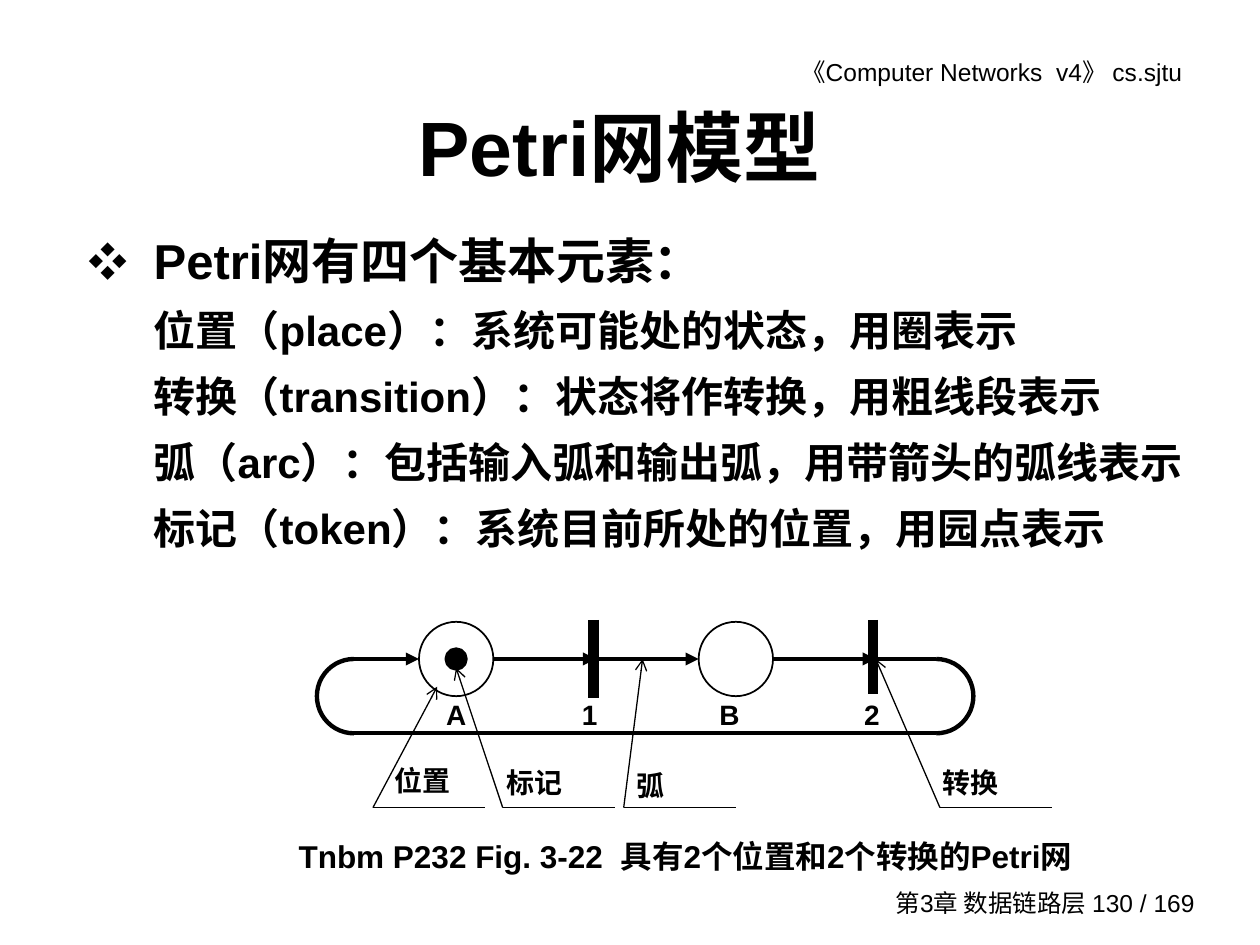
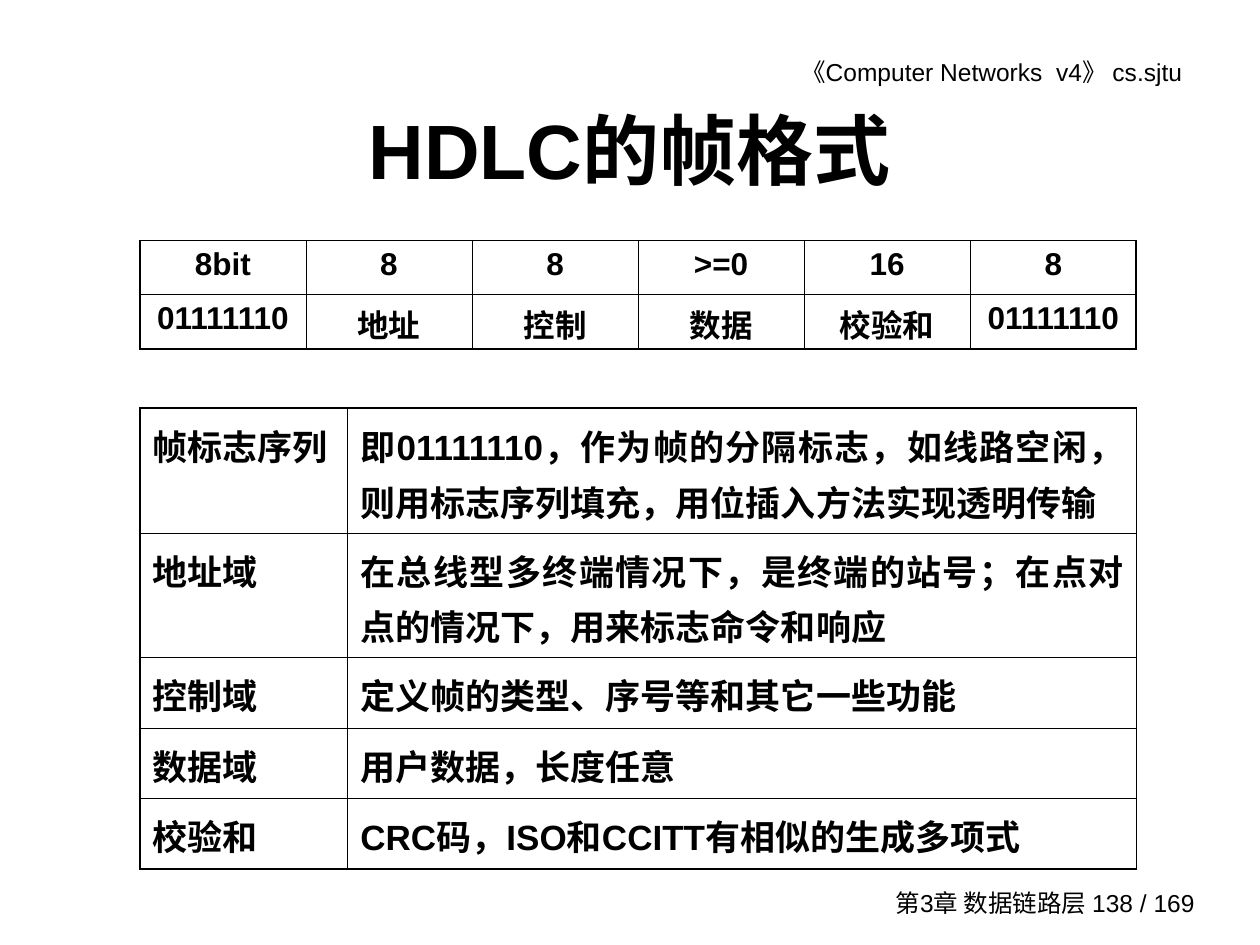
from dataclasses import dataclass
from typing import NamedTuple, Optional

from lxml.etree import SubElement
from pptx import Presentation
from pptx.dml.color import RGBColor
from pptx.enum.dml import MSO_FILL
from pptx.enum.shapes import MSO_CONNECTOR, MSO_SHAPE
from pptx.enum.text import MSO_ANCHOR, MSO_AUTO_SIZE, PP_ALIGN
from pptx.oxml.ns import qn
from pptx.util import Emu, Inches, Pt

SLIDE_WIDTH, SLIDE_HEIGHT = Inches(10), Inches(7.5)
GRID_COLUMNS, GRID_ROWS = 100, 75


@dataclass(frozen=True)
class Theme:
    ink: RGBColor = RGBColor(0, 0, 0)
    latin: str = "Arial"
    east_asian: str = "Noto Sans CJK SC"
    label_latin: str = "Times New Roman"
    title: float = 44
    lead: float = 28
    body: float = 24
    field: float = 20
    caption: float = 18
    label: float = 16
    footer: float = 14
    thin: float = 0.75
    outline: float = 1
    arc: float = 2.5
    bar: float = 6
    inner_border: float = 0.45
    outer_border: float = 1.08
    line_spacing: float = 1.1


THEME = Theme()


class Area(NamedTuple):
    left: float
    top: float
    width: float
    height: float


class Point(NamedTuple):
    x: float
    y: float


class Place(NamedTuple):
    name: str
    center: float


class Bar(NamedTuple):
    name: str
    center: float
    length: float


class Callout(NamedTuple):
    text: str
    foot: float
    tip: Point
    label: Point


class TextStyle(NamedTuple):
    size: float
    bold: bool = True
    align: PP_ALIGN = PP_ALIGN.LEFT
    latin: str = THEME.latin
    spacing: Optional[float] = None


HEADER_AREA = Area(52.7, 4, 42.1, 3.4)
FOOTER_AREA = Area(69.4, 70, 26.4, 3.3)
FOOTER_STYLE = TextStyle(THEME.footer, False, PP_ALIGN.RIGHT)
CAPTION_STYLE = TextStyle(THEME.caption, align=PP_ALIGN.CENTER)
FIELD_STYLE = TextStyle(THEME.field, align=PP_ALIGN.JUSTIFY, spacing=THEME.line_spacing)

AXIS, DIAMETER, LOOP_LEFT, LOOP_RIGHT = 52.3, 5.9, 28.1, 74.3
SHELF, SHELF_LENGTH = 64.1, 8.9
PLACES = [Place("A", 36.2), Place("B", 58.4)]
BARS = [Bar("1", 47.1, 6.2), Bar("2", 69.3, 5.9)]
NAME_CENTERS = {"A": 36.2, "1": 46.8, "B": 57.9, "2": 69.2}
CALLOUTS = [
    Callout("位置", 29.6, Point(34.7, 54.5), Point(30.3, 60.1)),
    Callout("弧", 49.5, Point(51, AXIS), Point(49.5, 60.5)),
    Callout("标记", 39.9, Point(36.2, 53), Point(39.2, 60.3)),
    Callout("转换", 74.6, Point(69.5, AXIS), Point(73.8, 60.3)),
]

LEAD = "Petri网有四个基本元素："
ELEMENTS = [
    "位置（place）：系统可能处的状态，用圈表示",
    "转换（transition）：状态将作转换，用粗线段表示",
    "弧（arc）：包括输入弧和输出弧，用带箭头的弧线表示",
    "标记（token）：系统目前所处的位置，用园点表示",
]
FRAME = [
    ["8bit", "8", "8", ">=0", "16", "8"],
    ["01111110", "地址", "控制", "数据", "校验和", "01111110"],
]
FIELDS = [
    ["帧标志序列", "即01111110，作为帧的分隔标志，如线路空闲，则用标志序列填充，用位插入方法实现透明传输"],
    ["地址域", "在总线型多终端情况下，是终端的站号；在点对点的情况下，用来标志命令和响应"],
    ["控制域", "定义帧的类型、序号等和其它一些功能"],
    ["数据域", "用户数据，长度任意"],
    ["校验和", "CRC码，ISO和CCITT有相似的生成多项式"],
]


def across(columns: float) -> Emu:
    return Emu(round(SLIDE_WIDTH * columns / GRID_COLUMNS))


def down(rows: float) -> Emu:
    return Emu(round(SLIDE_HEIGHT * rows / GRID_ROWS))


def bounds(area: Area) -> tuple[Emu, Emu, Emu, Emu]:
    return across(area.left), down(area.top), across(area.width), down(area.height)


def style_paragraph(para, style: TextStyle) -> None:
    para.alignment = style.align
    para.space_before = Pt(0)
    if style.spacing:
        para.line_spacing = style.spacing
    for span in para.runs:
        span.font.name = style.latin
        span.font.size = Pt(style.size)
        span.font.bold = style.bold
        span.font.color.rgb = THEME.ink
        SubElement(span._r.get_or_add_rPr(), qn("a:ea"), typeface=THEME.east_asian)


def add_text(page, text: str, area: Area, style: TextStyle, anchor=MSO_ANCHOR.TOP) -> None:
    box = page.shapes.add_textbox(*bounds(area))
    frame = box.text_frame
    frame.word_wrap = True
    frame.vertical_anchor = anchor
    frame.text = text
    style_paragraph(frame.paragraphs[0], style)


def place_placeholder(placeholder, area: Area, anchor) -> None:
    placeholder.left, placeholder.top, placeholder.width, placeholder.height = bounds(area)
    placeholder.text_frame.auto_size = MSO_AUTO_SIZE.NONE
    placeholder.text_frame.vertical_anchor = anchor


def add_page(deck, layout: int, title: str, title_area: Area, number: int):
    page = deck.slides.add_slide(deck.slide_layouts[layout])
    add_text(page, "《Computer Networks  v4》 cs.sjtu", HEADER_AREA, FOOTER_STYLE)
    add_text(page, f"第3章 数据链路层 {number} / 169", FOOTER_AREA, FOOTER_STYLE, MSO_ANCHOR.MIDDLE)
    heading = page.shapes.title
    place_placeholder(heading, title_area, MSO_ANCHOR.MIDDLE)
    heading.text_frame.text = title
    style_paragraph(heading.text_frame.paragraphs[0], TextStyle(THEME.title, align=PP_ALIGN.CENTER))
    return page


def fill_body(body) -> None:
    place_placeholder(body, Area(6, 17.3, 90.4, 31.8), MSO_ANCHOR.TOP)
    body.text_frame.text = "\n".join([LEAD, *ELEMENTS])
    hanging = across(5.2)
    for index, para in enumerate(body.text_frame.paragraphs):
        is_lead = index == 0
        properties = para._p.get_or_add_pPr()
        properties.set("marL", str(hanging))
        properties.set("indent", str(-hanging if is_lead else 0))
        if is_lead:
            SubElement(properties, qn("a:buSzPct"), val="80000")
            SubElement(properties, qn("a:buFont"), typeface=THEME.east_asian)
            SubElement(properties, qn("a:buChar"), char="❖")
        else:
            SubElement(properties, qn("a:buNone"))
        size = THEME.lead if is_lead else THEME.body
        style_paragraph(para, TextStyle(size, spacing=THEME.line_spacing))
        if not is_lead:
            para.space_before = Pt(6)


def add_line(page, start: Point, end: Point, weight: float, head: Optional[str] = None) -> None:
    line = page.shapes.add_connector(
        MSO_CONNECTOR.STRAIGHT, across(start.x), down(start.y), across(end.x), down(end.y)
    )
    line.line.color.rgb = THEME.ink
    line.line.width = Pt(weight)
    if head:
        SubElement(line.line._get_or_add_ln(), qn("a:tailEnd"), type=head)
    SubElement(line._element.spPr, qn("a:effectLst"))


def add_figure(page, kind: MSO_SHAPE, area: Area, weight: float, filled: bool = False):
    figure = page.shapes.add_shape(kind, *bounds(area))
    figure.shadow.inherit = False
    if filled:
        figure.fill.solid()
        figure.fill.fore_color.rgb = THEME.ink
    else:
        figure.fill.background()
    figure.line.color.rgb = THEME.ink
    figure.line.width = Pt(weight)
    return figure


def centered(center: Point, size: float) -> Area:
    return Area(center.x - size / 2, center.y - size / 2, size, size)


def draw_petri_net(page) -> None:
    radius = DIAMETER / 2
    bottom = AXIS + DIAMETER
    for place in PLACES:
        add_figure(page, MSO_SHAPE.OVAL, centered(Point(place.center, AXIS), DIAMETER), THEME.outline)
    add_line(page, Point(LOOP_LEFT, bottom), Point(LOOP_RIGHT, bottom), THEME.arc)
    for bar in BARS:
        top = AXIS - 3.1
        add_line(page, Point(bar.center, top), Point(bar.center, top + bar.length), THEME.bar)
    for center, start, end in [(LOOP_RIGHT, 162, 54), (LOOP_LEFT, 54, 162)]:
        bend = add_figure(page, MSO_SHAPE.ARC, centered(Point(center, AXIS + radius), DIAMETER), THEME.arc)
        bend.adjustments[0], bend.adjustments[1] = start, end
    arrow_start = LOOP_LEFT
    for place, bar in zip(PLACES, BARS):
        bar_tip = bar.center + 0.2
        add_line(page, Point(arrow_start, AXIS), Point(place.center - radius, AXIS), THEME.arc, "triangle")
        add_line(page, Point(place.center + radius, AXIS), Point(bar_tip, AXIS), THEME.arc, "triangle")
        arrow_start = bar_tip
    add_line(page, Point(arrow_start, AXIS), Point(LOOP_RIGHT, AXIS), THEME.arc)
    add_figure(page, MSO_SHAPE.OVAL, centered(Point(PLACES[0].center, AXIS), 1.5), THEME.arc, True)
    name_style = TextStyle(THEME.label, align=PP_ALIGN.CENTER)
    for name, center in NAME_CENTERS.items():
        add_text(page, name, Area(center - 2.5, 54.9, 5, 3.3), name_style)
    label_style = TextStyle(THEME.label, align=PP_ALIGN.JUSTIFY, latin=THEME.label_latin)
    for callout in CALLOUTS:
        foot = Point(callout.foot, SHELF)
        add_line(page, foot, callout.tip, THEME.thin, "arrow")
        add_line(page, foot, Point(foot.x + SHELF_LENGTH, SHELF), THEME.thin)
        add_text(page, callout.text, Area(*callout.label, SHELF_LENGTH, 4.5), label_style)


def set_border(cell, side: str, weight: float) -> None:
    border = SubElement(cell._tc.get_or_add_tcPr(), qn(f"a:ln{side}"), w=str(Pt(weight)))
    fill = SubElement(border, qn("a:solidFill"))
    SubElement(fill, qn("a:srgbClr"), val=str(THEME.ink))


def add_grid(page, content: list[list[str]], origin: Point, widths: list[float],
             heights: list[float], style: TextStyle) -> None:
    area = Area(*origin, sum(widths), sum(heights))
    table = page.shapes.add_table(len(heights), len(widths), *bounds(area)).table
    table.first_row = table.horz_banding = False
    for column, width in zip(table.columns, widths):
        column.width = across(width)
    last_row, last_column = len(heights) - 1, len(widths) - 1
    for row_index, texts in enumerate(content):
        table.rows[row_index].height = down(heights[row_index])
        for column_index, text in enumerate(texts):
            cell = table.cell(row_index, column_index)
            cell.text_frame.text = text
            style_paragraph(cell.text_frame.paragraphs[0], style)
            outer_sides = {
                "L": column_index == 0,
                "R": column_index == last_column,
                "T": row_index == 0,
                "B": row_index == last_row,
            }
            for side, is_outer in outer_sides.items():
                set_border(cell, side, THEME.outer_border if is_outer else THEME.inner_border)
            cell.fill.background()


def build_petri_page(deck) -> None:
    page = add_page(deck, 1, "Petri网模型", Area(6.7, 6.7, 85, 9.8), 130)
    fill_body(page.placeholders[1])
    draw_petri_net(page)
    add_text(page, "Tnbm P232 Fig. 3-22  具有2个位置和2个转换的Petri网", Area(18, 65.9, 72.8, 3.8), CAPTION_STYLE)


def build_frame_page(deck) -> None:
    page = add_page(deck, 5, "HDLC的帧格式", Area(7.5, 6.7, 85, 10.2), 138)
    add_grid(page, FRAME, Point(11.1, 19.1), [79.1 / 6] * 6, [4.3] * 2, CAPTION_STYLE)
    add_grid(page, FIELDS, Point(11.1, 32.4), [16.5, 62.6], [9.9] * 2 + [5.6] * 3, FIELD_STYLE)


def main() -> None:
    deck = Presentation()
    deck.slide_width, deck.slide_height = SLIDE_WIDTH, SLIDE_HEIGHT
    build_petri_page(deck)
    build_frame_page(deck)
    deck.save("out.pptx")


if __name__ == "__main__":
    main()
